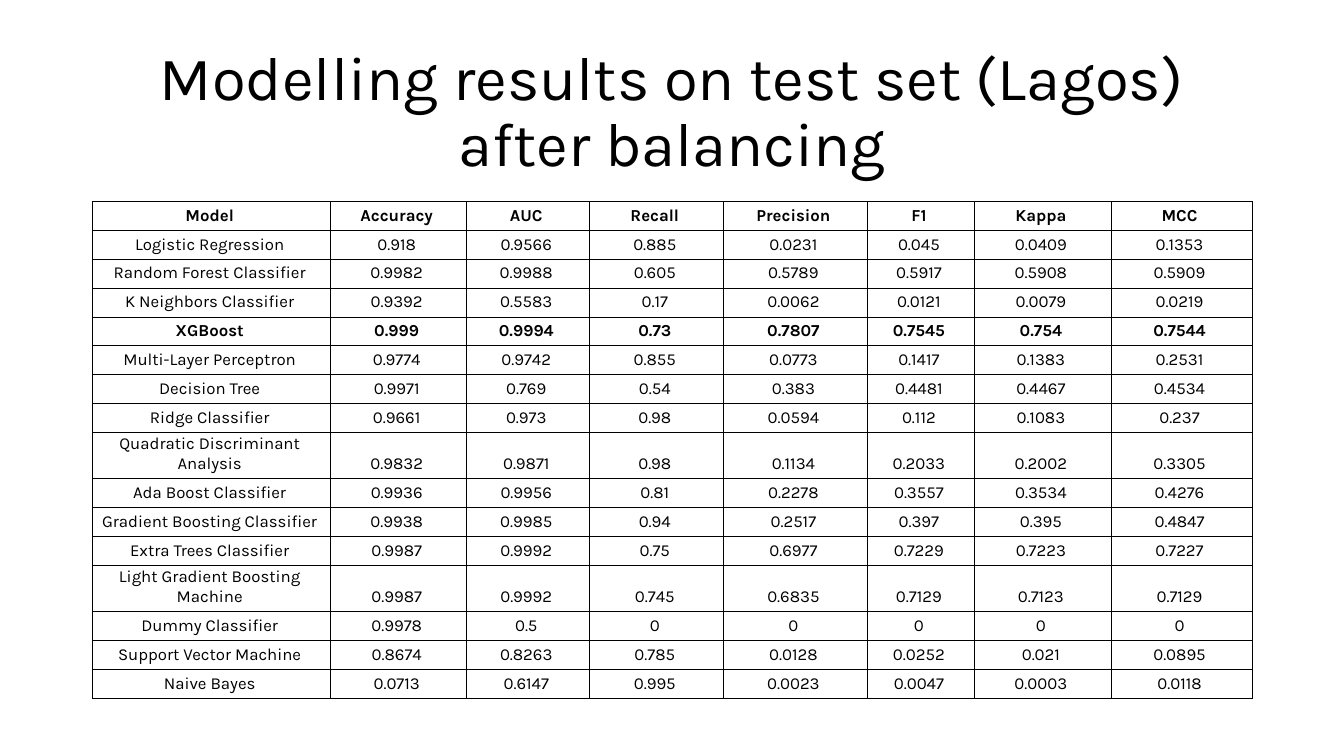
from pptx import Presentation
from pptx import util as u
from pptx.dml.color import RGBColor
from pptx.enum import text
from pptx.oxml import parse_xml
from pptx.oxml.ns import nsdecls

FONT = "Karla"
BLACK = "000000"
BEST_MODEL = "XGBoost"
COLUMN_WIDTHS = [2.36, 1.35, 1.22, 1.33, 1.42, 1.07, 1.35, 1.4]
HEADER = ["Model", "Accuracy", "AUC", "Recall", "Precision", "F1", "Kappa", "MCC"]
RESULTS = [
    ("Logistic Regression", 0.918, 0.9566, 0.885, 0.0231, 0.045, 0.0409, 0.1353),
    ("Random Forest Classifier", 0.9982, 0.9988, 0.605, 0.5789, 0.5917, 0.5908, 0.5909),
    ("K Neighbors Classifier", 0.9392, 0.5583, 0.17, 0.0062, 0.0121, 0.0079, 0.0219),
    (BEST_MODEL, 0.999, 0.9994, 0.73, 0.7807, 0.7545, 0.754, 0.7544),
    ("Multi-Layer Perceptron", 0.9774, 0.9742, 0.855, 0.0773, 0.1417, 0.1383, 0.2531),
    ("Decision Tree", 0.9971, 0.769, 0.54, 0.383, 0.4481, 0.4467, 0.4534),
    ("Ridge Classifier", 0.9661, 0.973, 0.98, 0.0594, 0.112, 0.1083, 0.237),
    ("Quadratic Discriminant Analysis", 0.9832, 0.9871, 0.98, 0.1134, 0.2033, 0.2002, 0.3305),
    ("Ada Boost Classifier", 0.9936, 0.9956, 0.81, 0.2278, 0.3557, 0.3534, 0.4276),
    ("Gradient Boosting Classifier", 0.9938, 0.9985, 0.94, 0.2517, 0.397, 0.395, 0.4847),
    ("Extra Trees Classifier", 0.9987, 0.9992, 0.75, 0.6977, 0.7229, 0.7223, 0.7227),
    ("Light Gradient Boosting Machine", 0.9987, 0.9992, 0.745, 0.6835, 0.7129, 0.7123, 0.7129),
    ("Dummy Classifier", 0.9978, 0.5, 0, 0, 0, 0, 0),
    ("Support Vector Machine", 0.8674, 0.8263, 0.785, 0.0128, 0.0252, 0.021, 0.0895),
    ("Naive Bayes", 0.0713, 0.6147, 0.995, 0.0023, 0.0047, 0.0003, 0.0118),
]


def color(hex_value):
    return RGBColor.from_string(hex_value)


def add_run(p, content, size, bold=False):
    p.alignment = text.PP_ALIGN.CENTER
    r = p.add_run()
    r.text = content
    r.font.name = FONT
    r.font.size = u.Pt(size)
    r.font.bold = bold
    r.font.color.rgb = color(BLACK)


def add_title(s, content):
    sp = s.shapes.add_textbox(u.Inches(0.92), u.Inches(0.4), u.Inches(11.5), u.Inches(1.45))
    tf = sp.text_frame
    tf.word_wrap = True
    tf.vertical_anchor = text.MSO_ANCHOR.MIDDLE
    p = tf.paragraphs[0]
    p.line_spacing = 0.9
    add_run(p, content, 44)


def add_borders(cell):
    tc_pr = cell._tc.get_or_add_tcPr()
    for i, side in enumerate(("lnL", "lnR", "lnT", "lnB")):
        tc_pr.insert(i, parse_xml(
            f'<a:{side} {nsdecls("a")} w="{u.Pt(0.75)}"><a:solidFill>'
            f'<a:srgbClr val="{BLACK}"/></a:solidFill></a:{side}>'))


def fill_cell(cell, content, bold):
    cell.fill.background()
    cell.vertical_anchor = text.MSO_ANCHOR.BOTTOM
    cell.margin_left = cell.margin_top = u.Inches(0.01)
    cell.margin_right = cell.margin_bottom = u.Inches(0.05)
    add_run(cell.text_frame.paragraphs[0], content, 12, bold)
    add_borders(cell)


def add_results_table(s, rows):
    table = s.shapes.add_table(len(rows), len(HEADER), u.Inches(0.92), u.Inches(2),
                               u.Inches(11.5), u.Inches(4.58)).table
    table.horz_banding = False
    table.first_row = False
    for column, width in zip(table.columns, COLUMN_WIDTHS):
        column.width = u.Inches(width)
    for i, row in enumerate(rows):
        bold = row[0] in (HEADER[0], BEST_MODEL)
        for j, value in enumerate(row):
            fill_cell(table.cell(i, j), str(value), bold)


def main():
    prs = Presentation()
    prs.slide_width, prs.slide_height = u.Inches(13.33), u.Inches(7.5)
    s = prs.slides.add_slide(prs.slide_layouts[6])

    # Heading
    add_title(s, "Modelling results on test set (Lagos) after balancing")

    # Scores of each model, the best one in bold
    add_results_table(s, [HEADER, *RESULTS])

    prs.save("out.pptx")


if __name__ == "__main__":
    main()
